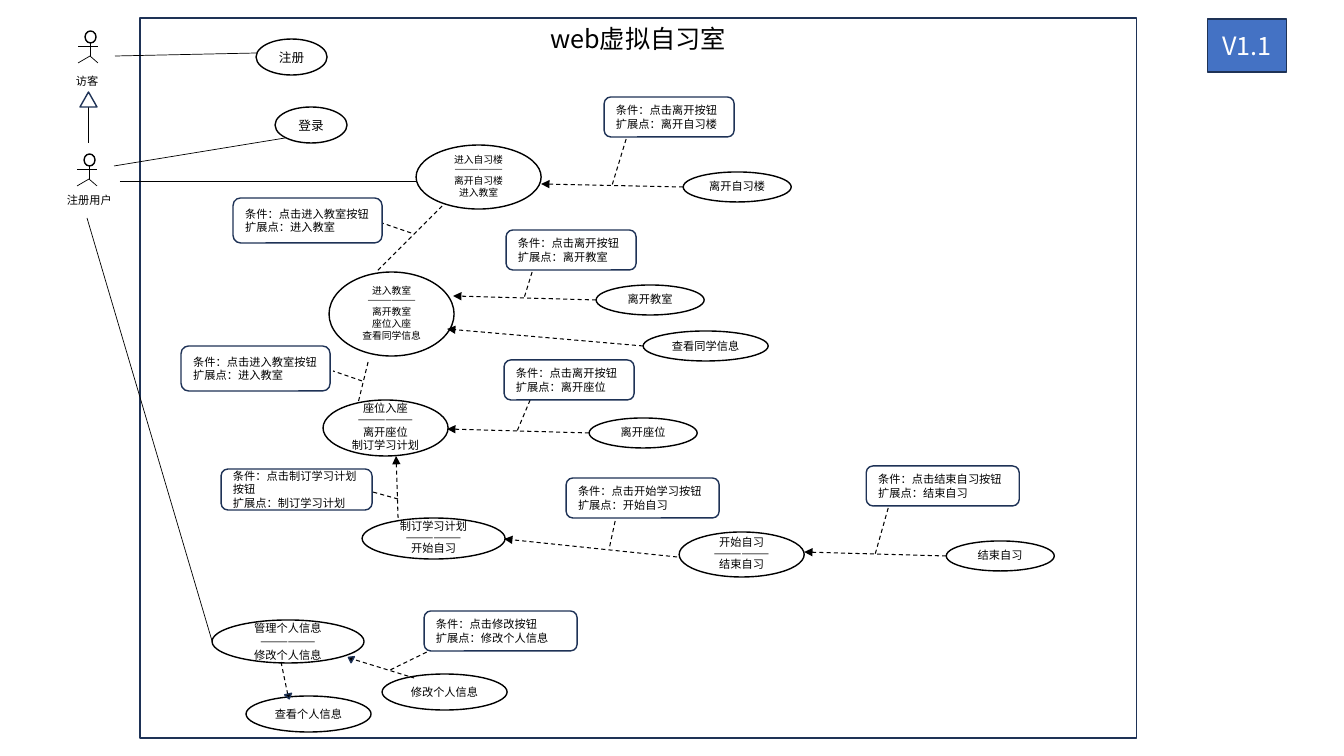
from typing import NamedTuple

from lxml.etree import SubElement
from pptx import Presentation
from pptx.dml.color import RGBColor
from pptx.enum.dml import MSO_LINE
from pptx.enum.shapes import MSO_CONNECTOR, MSO_SHAPE as SHAPE
from pptx.enum.text import MSO_ANCHOR as ANCHOR, MSO_AUTO_SIZE, PP_ALIGN as ALIGN
from pptx.oxml.ns import qn
from pptx.util import Emu, Inches, Pt

PX = 914400 / 100.8
FONT = "Noto Sans CJK SC"
BLACK = RGBColor(0x00, 0x00, 0x00)
WHITE = RGBColor(0xFF, 0xFF, 0xFF)
NAVY = RGBColor(0x1E, 0x32, 0x56)
BLUE = RGBColor(0x44, 0x72, 0xC4)
RULE = "—" * 6


class Box(NamedTuple):
    x: int
    y: int
    w: int
    h: int


class UseCase(NamedTuple):
    name: str
    box: Box
    points: tuple[str, ...] = ()
    size: int = 8
    tight: int = 0  # leading lines set closer together


class Note(NamedTuple):
    button: str
    point: str
    box: Box


class Actor(NamedTuple):
    name: str
    x: int
    y: int
    label: Box


class Line(NamedTuple):
    x1: int
    y1: int
    x2: int
    y2: int


def leaf(name: str, x: int, y: int) -> UseCase:
    """Describe a small use case that extends another."""
    return UseCase(name, Box(x, y, 108, 30), tight=1)


USE_CASES = [
    UseCase("注册", Box(256, 39, 71, 36), size=9),
    UseCase("登录", Box(275, 107, 72, 36), size=9),
    UseCase("进入自习楼", Box(416, 145, 125, 64), ("离开自习楼", "进入教室"), 7, 2),
    UseCase("进入教室", Box(329, 272, 125, 84), ("离开教室", "座位入座", "查看同学信息"), 7, 2),
    UseCase("座位入座", Box(323, 400, 125, 56), ("离开座位", "制订学习计划"), tight=2),
    UseCase("制订学习计划", Box(362, 518, 143, 41), ("开始自习",), tight=3),
    UseCase("开始自习", Box(679, 532, 125, 45), ("结束自习",), tight=3),
    UseCase("管理个人信息", Box(212, 620, 152, 43), ("修改个人信息",)),
    UseCase("查看个人信息", Box(246, 696, 125, 36)),
    UseCase("修改个人信息", Box(382, 674, 125, 36)),
    UseCase("查看同学信息", Box(643, 331, 125, 30)),
    leaf("离开自习楼", 683, 172),
    leaf("离开教室", 596, 285),
    leaf("离开座位", 589, 418),
    leaf("结束自习", 946, 541),
]
NOTES = [
    Note("离开", "离开自习楼", Box(604, 97, 130, 40)),
    Note("离开", "离开教室", Box(506, 230, 130, 40)),
    Note("离开", "离开座位", Box(504, 360, 130, 40)),
    Note("进入教室", "进入教室", Box(233, 198, 149, 45)),
    Note("进入教室", "进入教室", Box(181, 346, 149, 45)),
    Note("制订学习计划", "制订学习计划", Box(221, 469, 151, 41)),
    Note("开始学习", "开始自习", Box(566, 478, 153, 40)),
    Note("结束自习", "结束自习", Box(866, 466, 153, 40)),
    Note("修改", "修改个人信息", Box(424, 611, 153, 40)),
]
ACTORS = [
    Actor("访客", 90, 31, Box(66, 69, 48, 24)),
    Actor("注册用户", 89, 154, Box(57, 188, 74, 24)),
]
ASSOCIATIONS = [
    Line(115, 56, 257, 53), Line(114, 166, 285, 138), Line(87, 218, 212, 641),
    Line(120, 181, 416, 181), Line(88, 106, 88, 143),
]
EXTENDS = [
    Line(683, 187, 541, 184), Line(596, 300, 453, 296), Line(643, 346, 447, 329),
    Line(589, 433, 447, 429), Line(398, 518, 396, 456), Line(677, 557, 504, 539),
    Line(946, 556, 804, 552),
]
DASHES = [
    Line(442, 206, 377, 271), Line(368, 362, 358, 403),
    Line(281, 662, 288, 696), Line(349, 658, 414, 678),
    Line(626, 139, 612, 185), Line(532, 272, 524, 298), Line(530, 400, 517, 431),
    Line(615, 521, 609, 549), Line(888, 508, 875, 554), Line(411, 233, 382, 223),
    Line(362, 381, 333, 371), Line(398, 499, 369, 491), Line(433, 649, 388, 671),
]


def px(*values: int) -> list[Emu]:
    """Turn pixels into EMU."""
    return [Emu(round(v * PX)) for v in values]


def style(sp, fill: RGBColor, line: RGBColor) -> None:
    """Give a shape a plain fill and a 1 pt outline."""
    sp.fill.solid()
    sp.fill.fore_color.rgb = fill
    sp.line.color.rgb = line
    sp.line.width = Pt(1)


def write(tf, lines: list[str], size: int, align: ALIGN, color: RGBColor = BLACK,
          tight: int = 0) -> None:
    """Write one paragraph per line, the first ones optionally tighter."""
    for i, text in enumerate(lines):
        p = tf.add_paragraph() if i else tf.paragraphs[0]
        p.alignment = align
        p.line_spacing = 0.8 if i < tight else 1.0
        r = p.add_run()
        r.text = text
        r.font.size, r.font.name = Pt(size), FONT
        r.font.color.rgb = color
        SubElement(r._r.get_or_add_rPr(), qn("a:ea"), typeface=FONT)


def add_box(shapes, kind: SHAPE, box: Box, line: RGBColor = BLACK, fill: RGBColor = WHITE):
    """Add a preset shape without shadow, its text anchored in the middle."""
    sp = shapes.add_shape(kind, *px(*box))
    sp.shadow.inherit = False
    style(sp, fill, line)
    sp.text_frame.word_wrap = True
    sp.text_frame.vertical_anchor = ANCHOR.MIDDLE
    return sp


def add_line(shapes, line: Line, dashed: bool = False, arrow: bool = False) -> None:
    """Add a straight line, optionally dashed and with an arrowhead."""
    cx = shapes.add_connector(MSO_CONNECTOR.STRAIGHT, *px(*line))
    cx.line.color.rgb = BLACK
    cx.line.width = Pt(0.75 if dashed else 0.5)
    if dashed:
        cx.line.dash_style = MSO_LINE.DASH
    if arrow:
        SubElement(cx.line._get_or_add_ln(), qn("a:tailEnd"), type="triangle")
    SubElement(cx._element.spPr, qn("a:effectLst"))


def add_use_case(shapes, case: UseCase) -> None:
    """Add an oval with its name and any extension points under a rule."""
    tf = add_box(shapes, SHAPE.OVAL, case.box).text_frame
    tf.margin_left = tf.margin_right = 0
    lines = [case.name, RULE, *case.points] if case.points else [case.name]
    write(tf, lines, case.size, ALIGN.CENTER, tight=case.tight)


def add_note(shapes, note: Note) -> None:
    """Add a rounded note with a condition and its extension point."""
    tf = add_box(shapes, SHAPE.ROUNDED_RECTANGLE, note.box, NAVY).text_frame
    tf.margin_top = tf.margin_bottom = 0
    write(tf, [f"条件：点击{note.button}按钮", f"扩展点：{note.point}"], 8, ALIGN.LEFT)


def add_actor(shapes, actor: Actor) -> None:
    """Add a stick figure with its name below."""
    x, y = actor.x, actor.y
    add_box(shapes, SHAPE.OVAL, Box(x - 5, y, 11, 12))
    arms, spine = Line(x - 12, y + 15, x + 8, y + 15), Line(x, y + 12, x, y + 25)
    legs = [Line(x, y + 25, x + dx, y + 32) for dx in (-12, 8)]
    for limb in (arms, spine, *legs):
        add_line(shapes, limb)
    tf = shapes.add_textbox(*px(*actor.label)).text_frame
    tf.word_wrap = True
    write(tf, [actor.name], 8, ALIGN.LEFT)


prs = Presentation()
prs.slide_width, prs.slide_height = Inches(13.33), Inches(7.5)
slide = prs.slides.add_slide(prs.slide_layouts[5])
shapes = slide.shapes

system = shapes.title
system.left, system.top, system.width, system.height = px(140, 18, 996, 720)
style(system, WHITE, NAVY)
system.text_frame.auto_size = MSO_AUTO_SIZE.NONE
system.text_frame.vertical_anchor = ANCHOR.TOP
write(system.text_frame, ["web虚拟自习室"], 18, ALIGN.CENTER)

for case in USE_CASES:
    add_use_case(shapes, case)
for actor in ACTORS:
    add_actor(shapes, actor)
for line in ASSOCIATIONS:
    add_line(shapes, line)
for line in EXTENDS:
    add_line(shapes, line, dashed=True, arrow=True)
for line in DASHES:
    add_line(shapes, line, dashed=True)
for note in NOTES:
    add_note(shapes, note)

add_box(shapes, SHAPE.ISOSCELES_TRIANGLE, Box(80, 92, 17, 15), NAVY)
for box, angle in ((Box(285, 694, 7, 5), 167.1), (Box(347, 656, 7, 5), 298.5)):
    add_box(shapes, SHAPE.ISOSCELES_TRIANGLE, box, NAVY, BLACK).rotation = angle

version = add_box(shapes, SHAPE.RECTANGLE, Box(1207, 19, 79, 53), NAVY, BLUE)
write(version.text_frame, ["V1.1"], 18, ALIGN.CENTER, WHITE)

prs.save("out.pptx")
